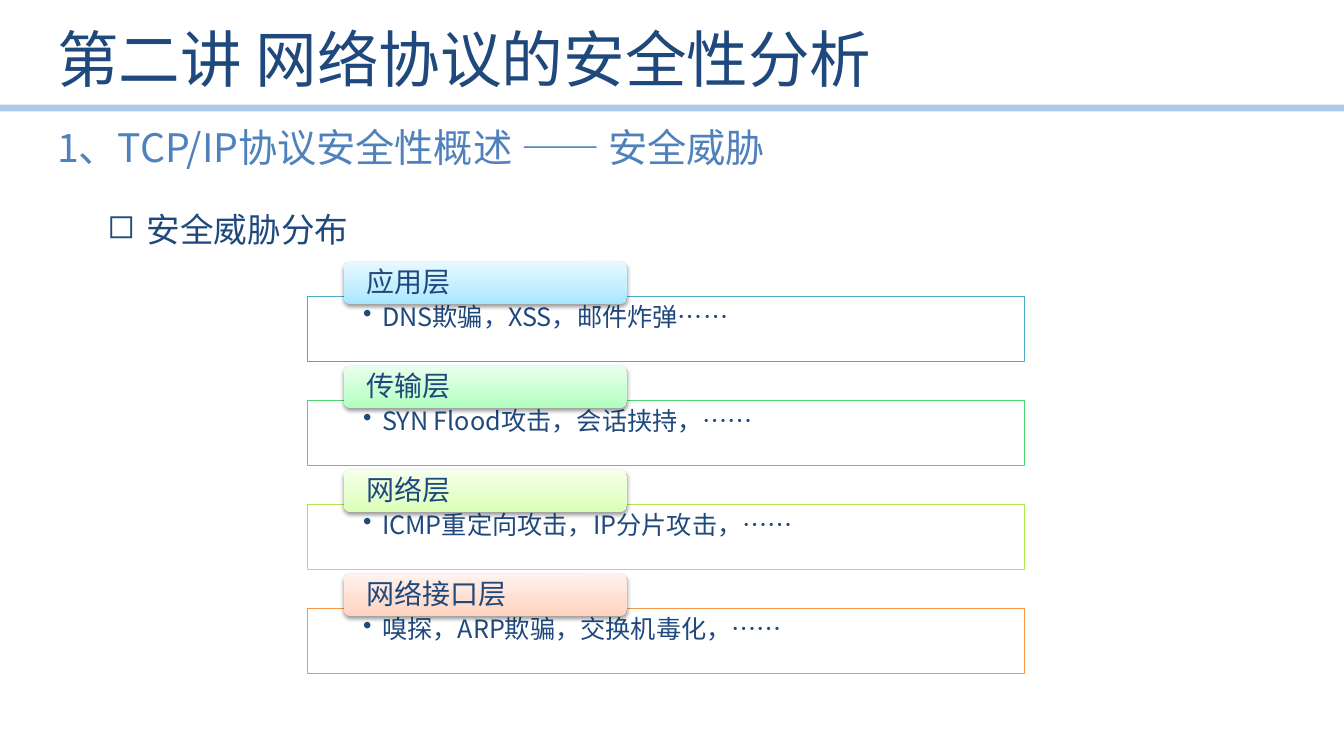
from lxml import etree
from pptx import Presentation
from pptx.dml.color import RGBColor
from pptx.enum.shapes import MSO_CONNECTOR as Link, MSO_SHAPE as Kind
from pptx.enum.text import MSO_ANCHOR as Anchor, PP_ALIGN as Align
from pptx.oxml import parse_xml
from pptx.oxml.ns import nsdecls, qn
from pptx.util import Cm, Pt

FONT = "Noto Sans CJK SC"
NAVY = "1F497D"


def tint(color, code, alpha=None):
    """Set a colour format from a hex string, with opacity in percent."""
    color.rgb = RGBColor.from_string(code)
    if alpha:
        node = color._xFill.find(qn("a:srgbClr"))
        etree.SubElement(node, qn("a:alpha"), val=str(alpha * 1000))


def write(shape, text, size, code, look, bullet=None, hang=(0, 0)):
    """Fill a shape with one paragraph; hang is margin and indent in cm."""
    frame = shape.text_frame
    frame.word_wrap = True
    for name, value in look.items():
        setattr(frame, name, value)
    para = frame.paragraphs[0]
    para.alignment = Align.LEFT
    para.line_spacing = look_space[size]
    if bullet:
        props = para._p.get_or_add_pPr()
        props.set("marL", str(Cm(hang[0])))
        props.set("indent", str(Cm(hang[1])))
        etree.SubElement(props, qn("a:buChar"), char=bullet)
    run = para.add_run()
    run.text = text
    run.font.size = Pt(size)
    run.font.name = FONT
    tint(run.font.color, code)
    run._r.get_or_add_rPr().append(
        parse_xml(f'<a:ea {nsdecls("a")} typeface="{FONT}"/>'))


# Line spacing for each text size
look_space = {44: 1.0, 28: 0.83, 24: 1.2, 20: 0.9, 18: 0.8}

deck = Presentation()
deck.slide_width, deck.slide_height = Cm(33.87), Cm(19.05)
slide = deck.slides.add_slide(deck.slide_layouts[6])
shapes = slide.shapes

rule = shapes.add_connector(Link.STRAIGHT, 0, Cm(2.72), deck.slide_width, Cm(2.72))
rule.line.width = Pt(4.75)
tint(rule.line.color, "8EB4E3", 73)
etree.SubElement(rule._element.spPr, qn("a:effectLst"))

# Headings
title = shapes.add_textbox(Cm(1.19), Cm(0.23), Cm(28), Cm(2.46))
write(title, "第二讲 网络协议的安全性分析", 44, NAVY,
      {"vertical_anchor": Anchor.MIDDLE})

topic = shapes.add_textbox(Cm(1.19), Cm(4.93), Cm(31.19), Cm(11.4))
write(topic, "安全威胁分布", 24, NAVY, {}, "◻", (2.26, -0.99))

head = shapes.add_textbox(Cm(1.19), Cm(3.07), Cm(18.95), Cm(1.45))
write(head, "1、TCP/IP协议安全性概述 —— 安全威胁", 28, "4F81BD",
      {"margin_top": Cm(0.23)})

# Protocol layers: name, threats, border, gradient from bottom to top
layers = [
    ("应用层", "DNS欺骗，XSS，邮件炸弹……", "4BACC6",
     ("A7E6FF", "C1EDFF", "E7F8FF")),
    ("传输层", "SYN Flood攻击，会话挟持，……", "47D872",
     ("AFFFBD", "C6FFD0", "E9FFED")),
    ("网络层", "ICMP重定向攻击，IP分片攻击，……", "ACE946",
     ("DBFFB6", "E5FFCB", "F5FFEB")),
    ("网络接口层", "嗅探，ARP欺骗，交换机毒化，……", "F79646",
     ("FFD2BD", "FFDED0", "FFF2ED")),
]
STEP = 2.62
frame_look = {"margin_left": Cm(1.4), "margin_right": Cm(1.4),
              "margin_top": Cm(0.28), "margin_bottom": Cm(0.36),
              "vertical_anchor": Anchor.TOP}
tab_look = {"margin_left": Cm(0.53), "margin_right": Cm(0.53),
            "margin_top": 0, "margin_bottom": 0,
            "vertical_anchor": Anchor.MIDDLE}

for i, (name, threats, edge, shades) in enumerate(layers):
    box = shapes.add_shape(Kind.RECTANGLE, Cm(7.75), Cm(7.47 + i * STEP),
                           Cm(18.08), Cm(1.65))
    box.shadow.inherit = False
    box.fill.solid()
    tint(box.fill.fore_color, "FFFFFF", 90)
    tint(box.line.color, edge)
    box.line.width = Pt(0.75)
    write(box, threats, 18, NAVY, frame_look, "•", (0.48, -0.48))

    tab = shapes.add_shape(Kind.ROUNDED_RECTANGLE, Cm(8.66), Cm(6.6 + i * STEP),
                           Cm(7.14), Cm(1.07))
    tab.shadow.inherit = False
    tab.line.fill.background()
    stops = "".join(f'<a:gs pos="{pos * 1000}"><a:srgbClr val="{code}"/></a:gs>'
                    for pos, code in zip((0, 35, 100), shades))
    props = tab._element.spPr
    props.find(qn("a:prstGeom")).addnext(parse_xml(
        f'<a:gradFill {nsdecls("a")} rotWithShape="1"><a:gsLst>{stops}</a:gsLst>'
        '<a:lin ang="16200000" scaled="1"/></a:gradFill>'))
    props.find(qn("a:effectLst")).append(parse_xml(
        f'<a:outerShdw {nsdecls("a")} blurRad="{Pt(3.1)}" dist="{Pt(1.6)}" '
        'dir="5400000" rotWithShape="0"><a:srgbClr val="000000">'
        '<a:alpha val="38000"/></a:srgbClr></a:outerShdw>'))
    write(tab, name, 20, NAVY, tab_look)

deck.save("out.pptx")
